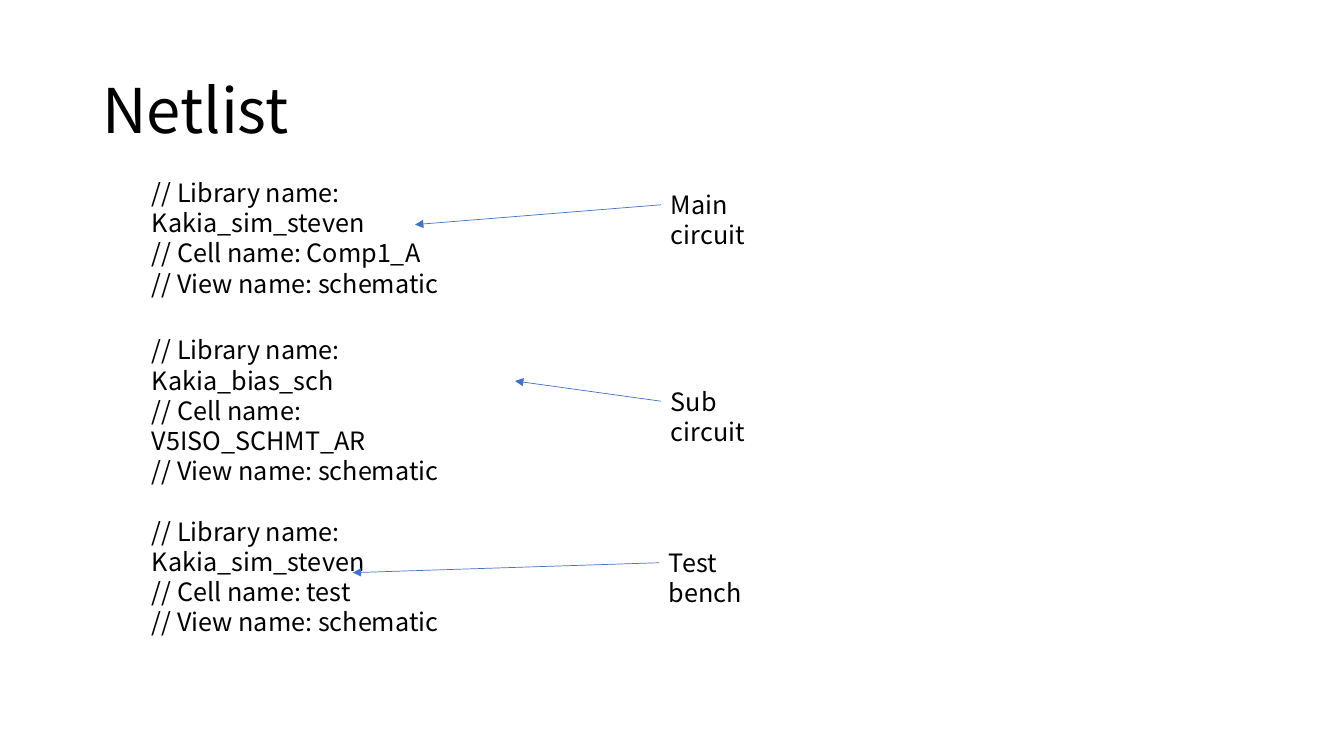
"""Build the Netlist slide with three annotated netlist headers."""
from dataclasses import dataclass

from lxml import etree
from pptx import Presentation
from pptx.dml.color import RGBColor
from pptx.enum.shapes import MSO_CONNECTOR
from pptx.enum.text import MSO_ANCHOR
from pptx.oxml.ns import qn
from pptx.util import Cm, Pt

STRAIGHT = MSO_CONNECTOR.STRAIGHT
TOP = MSO_ANCHOR.TOP
MIDDLE = MSO_ANCHOR.MIDDLE
FONT = "Noto Sans CJK SC"
COLORS = {"text": "000000", "arrow": "4472C4"}
HEADER_LEFT = 3.58
HEADER_HEIGHT = 2.57
LABEL_HEIGHT = 1.02


@dataclass(frozen=True)
class Netlist:
    library: str
    cell: str
    top: float
    width: float
    label: str
    label_left: float
    label_top: float
    label_width: float
    tip_x: float
    tip_y: float


NETLISTS = [
    Netlist("Kakia_sim_steven", "Comp1_A", 4.34, 9.75,
            "Main circuit", 16.66, 4.65, 3.71, 10.46, 5.66),
    Netlist("Kakia_bias_sch", "V5ISO_SCHMT_AR", 8.31, 9.4,
            "Sub circuit", 16.66, 9.6, 3.38, 12.98, 9.6),
    Netlist("Kakia_sim_steven", "test", 12.88, 9.75,
            "Test bench", 16.61, 13.67, 3.51, 8.89, 14.43),
]


def add_text(page, lines: list[str], left: float, top: float, width: float,
             height: float, size: int = 18, anchor=TOP,
             spacing: float | None = None) -> None:
    """Add a wrapping text box with one paragraph per line."""
    box = page.shapes.add_textbox(Cm(left), Cm(top), Cm(width), Cm(height))
    frame = box.text_frame
    frame.word_wrap = True
    frame.vertical_anchor = anchor
    for index, line in enumerate(lines):
        para = frame.add_paragraph() if index else frame.paragraphs[0]
        para.line_spacing = spacing
        span = para.add_run()
        span.text = line
        span.font.name = FONT
        span.font.size = Pt(size)
        span.font.color.rgb = RGBColor.from_string(COLORS["text"])


def add_arrow(page, start_x: float, start_y: float, tip_x: float,
              tip_y: float) -> None:
    """Add a thin straight arrow that ends in a triangle."""
    arrow = page.shapes.add_connector(
        STRAIGHT, Cm(start_x), Cm(start_y), Cm(tip_x), Cm(tip_y))
    arrow.line.color.rgb = RGBColor.from_string(COLORS["arrow"])
    arrow.line.width = Pt(0.5)
    outline = arrow.line._get_or_add_ln()
    etree.SubElement(outline, qn("a:tailEnd"), type="triangle")
    etree.SubElement(arrow._element.spPr, qn("a:effectLst"))


def add_netlist(page, netlist: Netlist) -> None:
    """Add a netlist header, its label and the arrow between them."""
    header = [f"// Library name: {netlist.library}",
              f"// Cell name: {netlist.cell}",
              "// View name: schematic"]
    add_text(page, header, HEADER_LEFT, netlist.top, netlist.width,
             HEADER_HEIGHT)
    add_text(page, [netlist.label], netlist.label_left, netlist.label_top,
             netlist.label_width, LABEL_HEIGHT)
    add_arrow(page, netlist.label_left, netlist.label_top + LABEL_HEIGHT / 2,
              netlist.tip_x, netlist.tip_y)


def main() -> None:
    """Build and save the deck."""
    deck = Presentation()
    deck.slide_width = Cm(33.87)
    deck.slide_height = Cm(19.05)
    page = deck.slides.add_slide(deck.slide_layouts[6])
    add_text(page, ["Netlist"], 2.33, 1.01, 29.21, 3.68, 44, MIDDLE, 0.9)
    for netlist in NETLISTS:
        add_netlist(page, netlist)
    deck.save("out.pptx")


main()
